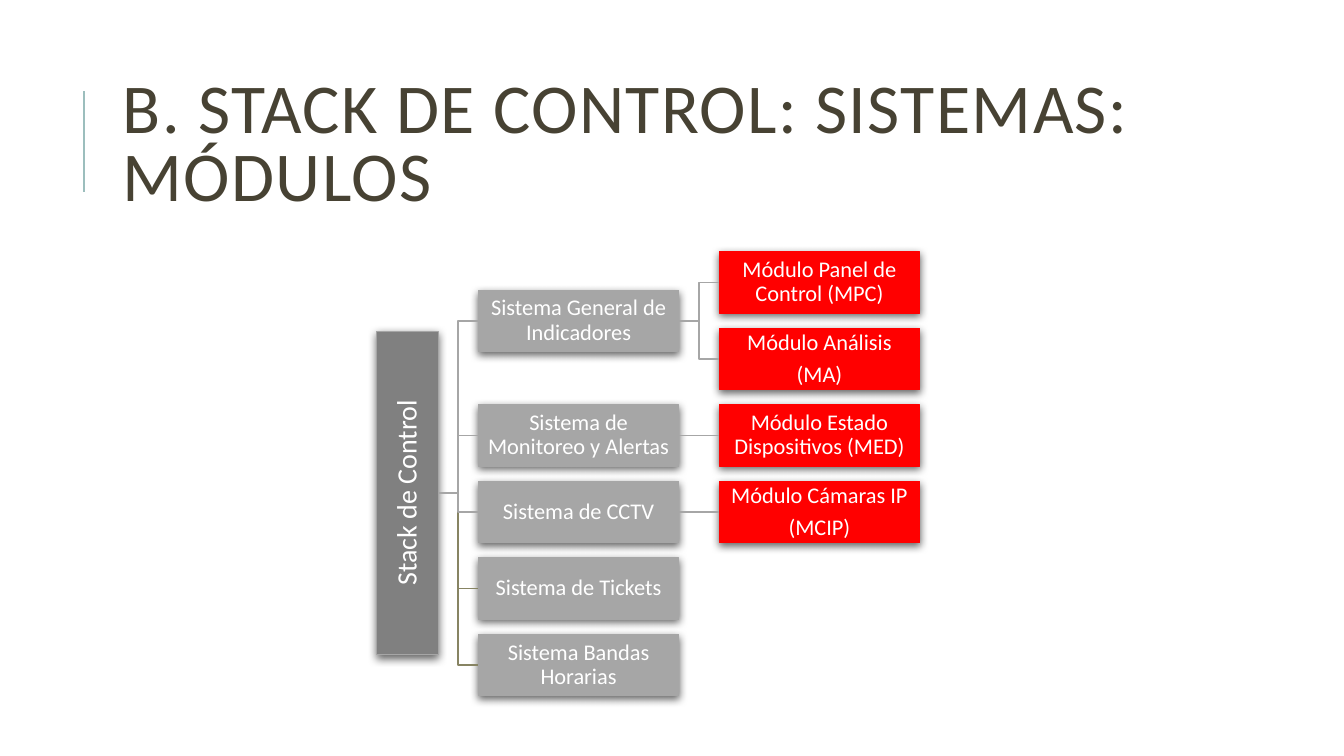
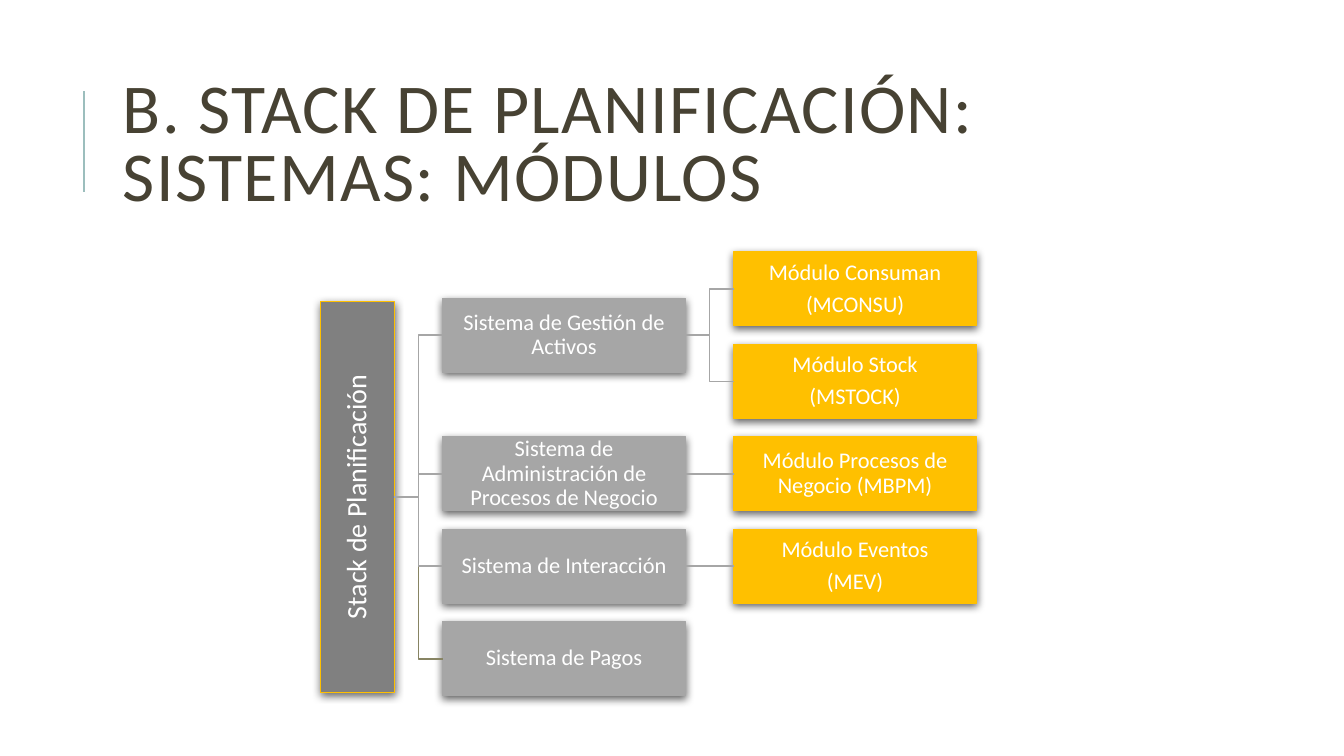
from lxml import etree
from pptx import Presentation
from pptx.dml.color import RGBColor
from pptx.enum.shapes import MSO_CONNECTOR, MSO_SHAPE
from pptx.enum.text import MSO_ANCHOR, MSO_AUTO_SIZE, PP_ALIGN
from pptx.oxml.ns import qn
from pptx.util import Cm, Pt

RECTANGLE = MSO_SHAPE.RECTANGLE
STRAIGHT, ELBOW = MSO_CONNECTOR.STRAIGHT, MSO_CONNECTOR.ELBOW
LEFT, CENTER = PP_ALIGN.LEFT, PP_ALIGN.CENTER
LEFT_SIDE, RIGHT_SIDE = 1, 3
TITLE_ONLY = 5

COLORS = {
    "title": "474233", "accent": "9CBEBD", "white": "FFFFFF", "black": "000000",
    "stack": "808080", "system": "A6A6A6", "leaf_link": "878463",
    "red": "FF0000", "amber": "FFC000",
}
FONT = "Calibri"

# Tree area and proportions, in cm and in box heights
TREE_TOP, TREE_HEIGHT, TREE_CENTER = 6.35, 11.18, 16.34
BOX_SHARE = 0.8
BOX_RATIO, STACK_RATIO = 3.28, 5.28
GAP_SHARE = 0.2

STACKS = [
    {
        "title": "B. STACK DE CONTROL: SISTEMAS: MÓDULOS",
        "stack": "Stack de Control", "outline": "system", "module": "red",
        "systems": [
            ("Sistema General de Indicadores",
             ["Módulo Panel de Control (MPC)", "Módulo Análisis\n(MA)"]),
            ("Sistema de Monitoreo y Alertas", ["Módulo Estado Dispositivos (MED)"]),
            ("Sistema de CCTV", ["Módulo Cámaras IP\n(MCIP)"]),
            ("Sistema de Tickets", []),
            ("Sistema Bandas Horarias", []),
        ],
    },
    {
        "title": "B. STACK DE PLANIFICACIÓN: SISTEMAS: MÓDULOS",
        "stack": "Stack de Planificación", "outline": "amber", "module": "amber",
        "systems": [
            ("Sistema de Gestión de Activos",
             ["Módulo Consuman\n(MCONSU)", "Módulo Stock\n(MSTOCK)"]),
            ("Sistema de Administración de Procesos de Negocio",
             ["Módulo Procesos de Negocio (MBPM)"]),
            ("Sistema de Interacción", ["Módulo Eventos\n(MEV)"]),
            ("Sistema de Pagos", []),
        ],
    },
]


def rgb(name):
    return RGBColor.from_string(COLORS[name])


def write(frame, text, size=16, color="white", align=CENTER, spacing=0.9,
          after=0.35, tracking=0, inset=0.03):
    """Fill a text frame; after is a share of the size, tracking is in points."""
    frame.word_wrap = True
    frame.auto_size = MSO_AUTO_SIZE.NONE
    frame.vertical_anchor = MSO_ANCHOR.MIDDLE
    frame.margin_left = frame.margin_right = Cm(inset)
    frame.margin_top = frame.margin_bottom = Cm(inset)
    frame.text = text
    for paragraph in frame.paragraphs:
        paragraph.alignment = align
        paragraph.line_spacing = spacing
        paragraph.space_before = Pt(0)
        paragraph.space_after = Pt(size * after)
        for run in paragraph.runs:
            run.font.name = FONT
            run.font.size = Pt(size)
            run.font.color.rgb = rgb(color)
            if tracking:
                run.font._element.set("spc", str(tracking * 100))


def add_soft_shadow(shape):
    shape.shadow.inherit = False
    effects = shape._element.spPr.find(qn("a:effectLst"))
    shadow = etree.SubElement(effects, qn("a:outerShdw"), blurRad=str(Pt(6)),
                              dist=str(Pt(2)), dir="5400000", rotWithShape="0")
    tint = etree.SubElement(shadow, qn("a:srgbClr"), val=COLORS["black"])
    etree.SubElement(tint, qn("a:alpha"), val="60000")


class Deck:
    def __init__(self):
        self.prs = Presentation()
        self.prs.slide_width, self.prs.slide_height = Cm(33.87), Cm(19.05)
        self.slide = None

    def new_slide(self, title):
        self.slide = self.prs.slides.add_slide(self.prs.slide_layouts[TITLE_ONLY])
        heading = self.slide.shapes.title
        heading.left, heading.top = Cm(2.84), Cm(1.63)
        heading.width, heading.height = Cm(27), Cm(4.17)
        write(heading.text_frame, title, size=50, color="title", align=LEFT,
              spacing=0.8, after=0, tracking=1, inset=0.25)
        self.line(STRAIGHT, "accent", 1.5, (2.11, 4.83), (2.11, 2.29))

    def line(self, kind, color, width, start=(0, 0), end=(0, 0)):
        connector = self.slide.shapes.add_connector(
            kind, *(Cm(value) for value in start + end))
        connector.line.color.rgb = rgb(color)
        connector.line.width = Pt(width)
        etree.SubElement(connector._element.spPr, qn("a:effectLst"))
        return connector

    def link(self, parent, child, color="system", kind=ELBOW):
        connector = self.line(kind, color, 1.25)
        connector.begin_connect(parent, RIGHT_SIDE)
        connector.end_connect(child, LEFT_SIDE)

    def box(self, text, left, middle, width, height, fill, outline=None,
            size=16, upward=False):
        """Draw a box centred on the height middle; upward turns its text."""
        shape = self.slide.shapes.add_shape(
            RECTANGLE, Cm(left), Cm(middle - height / 2), Cm(width), Cm(height))
        shape.fill.solid()
        shape.fill.fore_color.rgb = rgb(fill)
        shape.line.color.rgb = rgb(outline or fill)
        shape.line.width = Pt(0.75)
        add_soft_shadow(shape)
        write(shape.text_frame, text, size=size)
        if upward:
            shape.text_frame._txBody.bodyPr.set("vert", "vert270")
        return shape

    def tree(self, stack, outline, module, systems):
        """Lay out stack, systems and modules from left to right."""
        rows = sum(max(1, len(modules)) for _, modules in systems)
        pitch = TREE_HEIGHT / (rows - 1 + BOX_SHARE)
        height = pitch * BOX_SHARE
        width = height * BOX_RATIO
        gap = width * GAP_SHARE
        stack_left = TREE_CENTER - (height + 2 * gap + 2 * width) / 2
        system_left = stack_left + height + gap
        module_left = system_left + width + gap

        middles, branches, row = [], [], 0
        for name, modules in systems:
            span = max(1, len(modules))
            first = TREE_TOP + height / 2 + row * pitch
            middle = first + (span - 1) * pitch / 2
            system_box = self.box(name, system_left, middle, width, height, "system")
            for index, text in enumerate(modules):
                module_box = self.box(text, module_left, first + index * pitch,
                                      width, height, module)
                self.link(system_box, module_box, kind=STRAIGHT if span == 1 else ELBOW)
            middles.append(middle)
            branches.append((system_box, "system" if modules else "leaf_link"))
            row += span

        stack_box = self.box(stack, stack_left, (middles[0] + middles[-1]) / 2,
                             height, height * STACK_RATIO, "stack", outline,
                             size=20, upward=True)
        for system_box, color in reversed(branches):
            self.link(stack_box, system_box, color)


def main():
    deck = Deck()
    for content in STACKS:
        deck.new_slide(content["title"])
        deck.tree(content["stack"], content["outline"], content["module"],
                  content["systems"])
    deck.prs.save("out.pptx")


if __name__ == "__main__":
    main()
